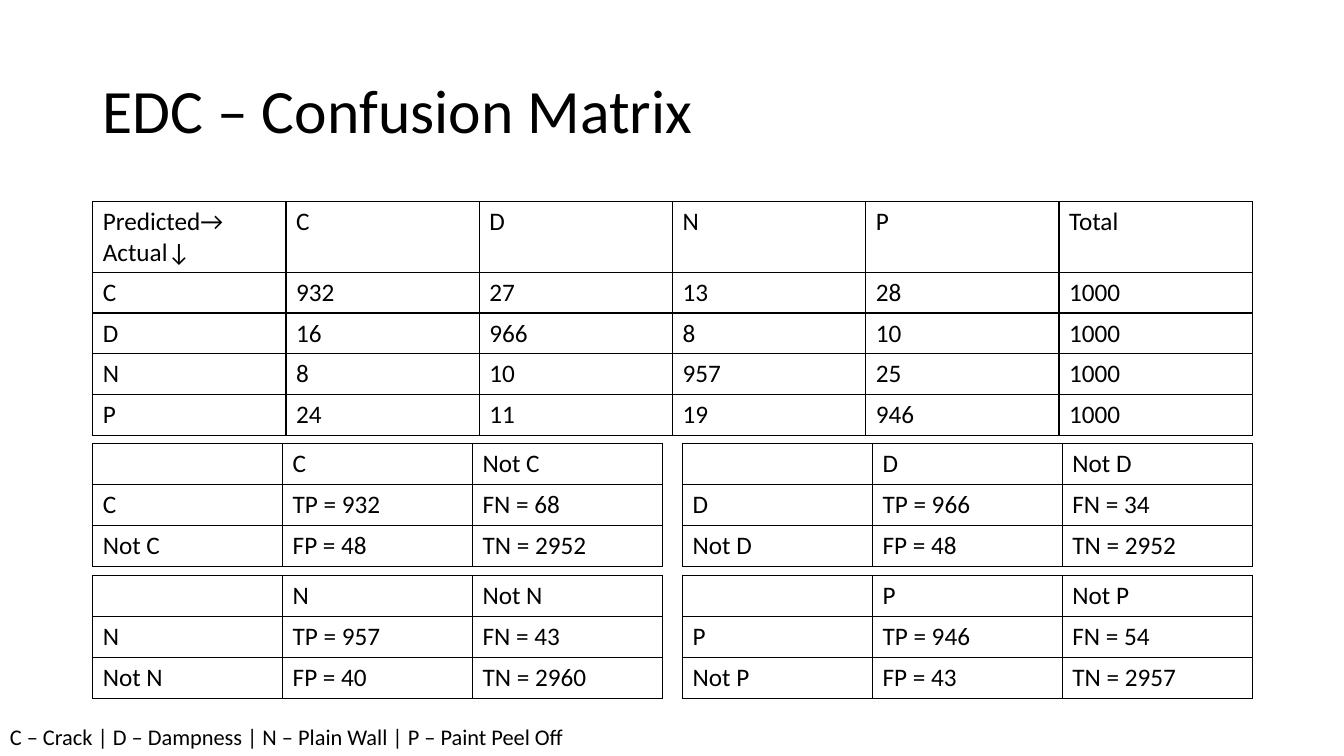
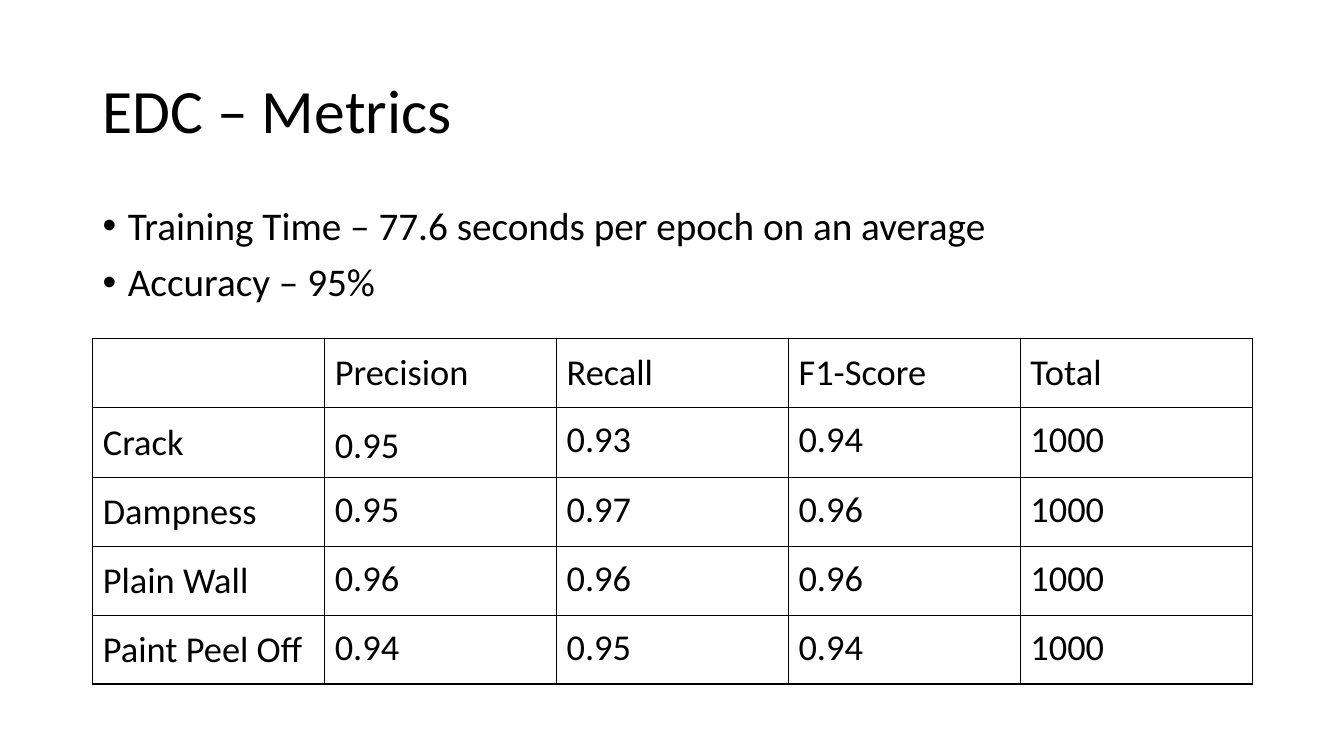
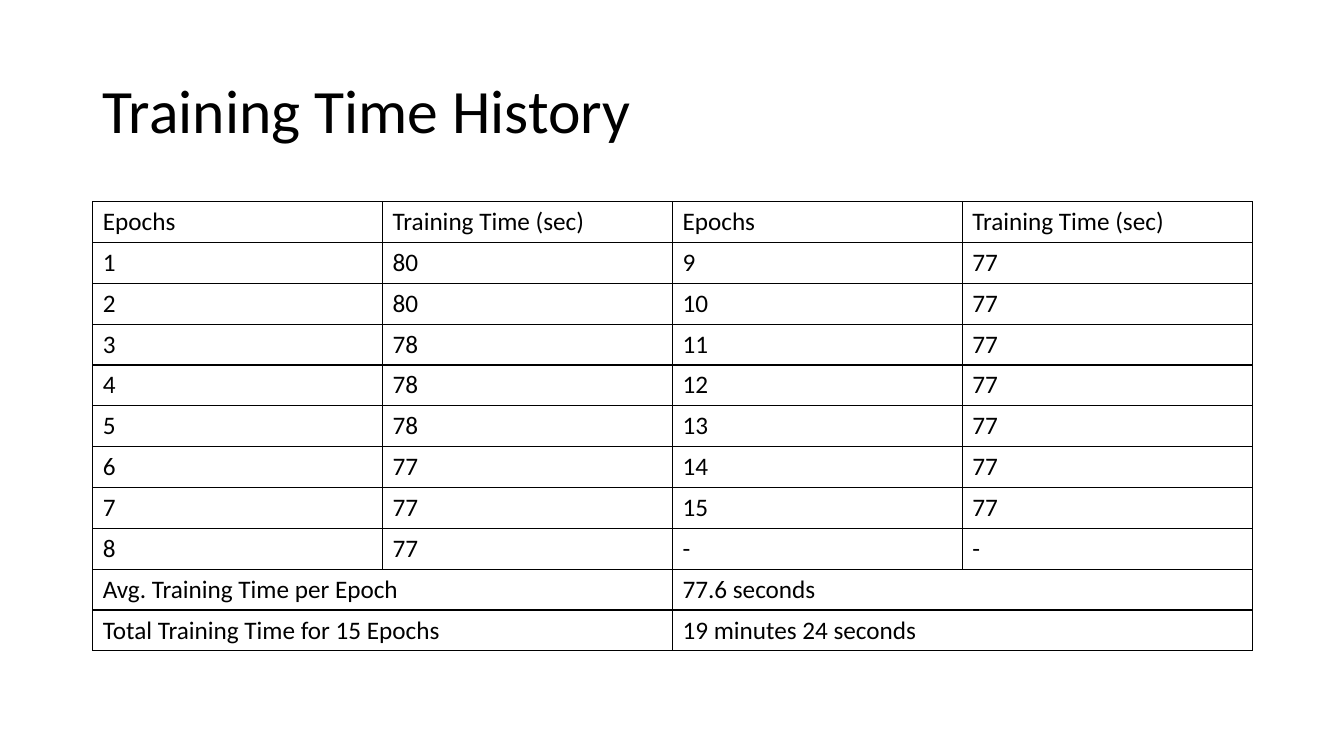
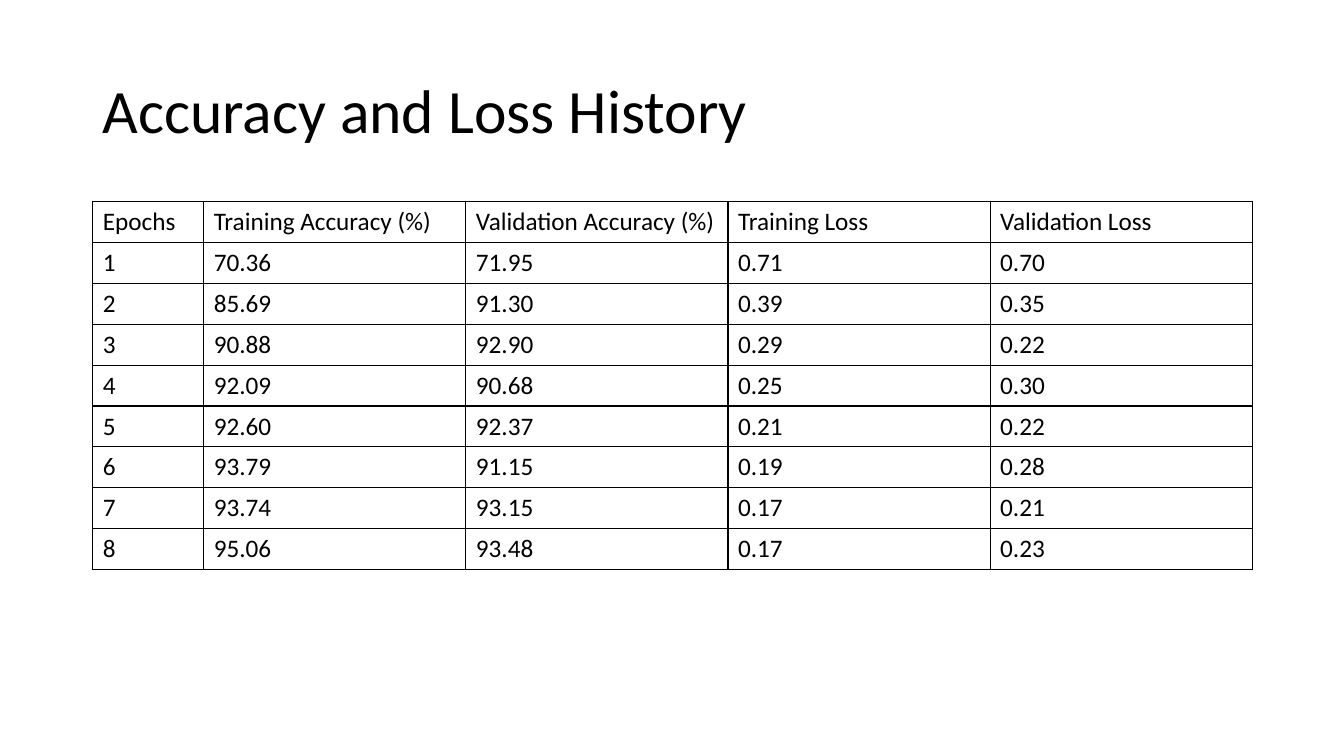
from dataclasses import dataclass

from lxml import etree
from pptx import Presentation
from pptx.dml.color import RGBColor
from pptx.enum.text import MSO_ANCHOR, MSO_AUTO_SIZE
from pptx.oxml.ns import qn
from pptx.util import Emu, Pt

TOP, MIDDLE = MSO_ANCHOR.TOP, MSO_ANCHOR.MIDDLE
FIT_SHAPE = MSO_AUTO_SIZE.SHAPE_TO_FIT_TEXT
EMU_PER_PX = 9144
BLANK_LAYOUT = 6


@dataclass(frozen=True)
class Theme:
    font: str = "Calibri"
    ink: str = "000000"
    title_size: int = 44
    bullet_size: int = 28
    metric_size: int = 26
    cell_size: int = 18
    caption_size: int = 16
    border_width: int = 1
    line_spacing: float = 0.9


@dataclass(frozen=True)
class Box:
    left: int
    top: int
    width: int
    height: int

    def emu(self):
        return [px(n) for n in (self.left, self.top, self.width, self.height)]


THEME = Theme()
PAGE = Box(0, 0, 1333, 750)
TITLE = Box(92, 40, 1150, 145)
BODY = Box(92, 200, 1150, 476)

CONFUSION = [
    ("Predicted→\nActual↓", "C", "D", "N", "P", "Total"),
    ("C", "932", "27", "13", "28", "1000"),
    ("D", "16", "966", "8", "10", "1000"),
    ("N", "8", "10", "957", "25", "1000"),
    ("P", "24", "11", "19", "946", "1000"),
]
# Label, then TP, FN, FP and TN.
ONE_VERSUS_REST = [
    ("C", 932, 68, 48, 2952),
    ("D", 966, 34, 48, 2952),
    ("N", 957, 43, 40, 2960),
    ("P", 946, 54, 43, 2957),
]
METRICS = [
    ("", "Precision", "Recall", "F1-Score", "Total"),
    ("Crack", "0.95", "0.93", "0.94", "1000"),
    ("Dampness", "0.95", "0.97", "0.96", "1000"),
    ("Plain Wall", "0.96", "0.96", "0.96", "1000"),
    ("Paint Peel Off", "0.94", "0.95", "0.94", "1000"),
]
# None marks a cell covered by the one to its left.
TRAINING_TIMES = [
    ("Epochs", "Training Time (sec)") * 2,
    ("1", "80", "9", "77"),
    ("2", "80", "10", "77"),
    ("3", "78", "11", "77"),
    ("4", "78", "12", "77"),
    ("5", "78", "13", "77"),
    ("6", "77", "14", "77"),
    ("7", "77", "15", "77"),
    ("8", "77", "-", "-"),
    ("Avg. Training Time per Epoch", None, "77.6 seconds", None),
    ("Total Training Time for 15 Epochs", None, "19 minutes 24 seconds", None),
]
ACCURACY_AND_LOSS = [
    ("Epochs", "Training Accuracy (%)", "Validation Accuracy (%)",
     "Training Loss", "Validation Loss"),
    ("1", "70.36", "71.95", "0.71", "0.70"),
    ("2", "85.69", "91.30", "0.39", "0.35"),
    ("3", "90.88", "92.90", "0.29", "0.22"),
    ("4", "92.09", "90.68", "0.25", "0.30"),
    ("5", "92.60", "92.37", "0.21", "0.22"),
    ("6", "93.79", "91.15", "0.19", "0.28"),
    ("7", "93.74", "93.15", "0.17", "0.21"),
    ("8", "95.06", "93.48", "0.17", "0.23"),
]


def px(count):
    return Emu(round(count * EMU_PER_PX))


def write_text(frame, text, *, size, line_spacing=None, space_before=None,
               bullet=None, indent=0):
    """Write each line of text as one paragraph."""
    for index, line in enumerate(text.split("\n")):
        para = frame.paragraphs[0] if index == 0 else frame.add_paragraph()
        if line_spacing is not None:
            para.line_spacing = line_spacing
        if space_before is not None:
            para.space_before = Pt(space_before)
        if bullet:
            properties = para._p.get_or_add_pPr()
            properties.set("marL", str(px(indent)))
            properties.set("indent", str(-px(indent)))
            etree.SubElement(properties, qn("a:buFont"), typeface="Arial")
            etree.SubElement(properties, qn("a:buChar"), char=bullet)
        span = para.add_run()
        span.text = line
        span.font.name = THEME.font
        span.font.size = Pt(size)
        span.font.color.rgb = RGBColor.from_string(THEME.ink)


def add_text(page, box, text, *, anchor=TOP, wrap=True, **text_format):
    frame = page.shapes.add_textbox(*box.emu()).text_frame
    frame.word_wrap = wrap
    frame.vertical_anchor = anchor
    if not wrap:
        frame.auto_size = FIT_SHAPE
    write_text(frame, text, **text_format)


def set_borders(cell):
    properties = cell._tc.get_or_add_tcPr()
    for side in ("a:lnL", "a:lnR", "a:lnT", "a:lnB"):
        line = etree.SubElement(properties, qn(side), w=str(Pt(THEME.border_width)))
        fill = etree.SubElement(line, qn("a:solidFill"))
        etree.SubElement(fill, qn("a:srgbClr"), val=THEME.ink)


def plain_cell(row, column):
    return {}


def metric_cell(row, column):
    """Centre the labels, and inset the figures evenly from the top."""
    if row == 0 or column == 0:
        return {"anchor": MIDDLE}
    figure = {"inset": 10}
    if (row, column) == (1, 1):
        figure.update(line_spacing=1.15, space_before=12)
    return figure


def fill_cell(cell, text, *, anchor=TOP, inset=None, **text_format):
    set_borders(cell)
    cell.fill.background()
    cell.vertical_anchor = anchor
    if inset is not None:
        cell.margin_left = cell.margin_right = px(inset)
        cell.margin_top = cell.margin_bottom = px(inset)
    if text:
        write_text(cell.text_frame, text, **text_format)


def add_grid(page, box, rows, *, size=THEME.cell_size, first_width=None,
             first_height=None, cell_format=plain_cell):
    """Add a bordered table whose rows and columns share the box evenly."""
    table = page.shapes.add_table(len(rows), len(rows[0]), *box.emu()).table
    table.first_row = table.horz_banding = False
    widths = share(box.width, len(rows[0]), first_width)
    heights = share(box.height, len(rows), first_height)
    for column, width in zip(table.columns, widths):
        column.width = width
    for row, height in zip(table.rows, heights):
        row.height = height
    for r, texts in enumerate(rows):
        for c, text in enumerate(texts):
            cell = table.cell(r, c)
            fill_cell(cell, text, size=size, **cell_format(r, c))
            if text is None:
                table.cell(r, c - 1).merge(cell)


def share(total, count, first=None):
    """Split a length evenly, after an optional first part of its own."""
    if first is None:
        return [px(total / count)] * count
    return [px(first)] + [px((total - first) / (count - 1))] * (count - 1)


def add_page(deck, title):
    page = deck.slides.add_slide(deck.slide_layouts[BLANK_LAYOUT])
    add_text(page, TITLE, title, size=THEME.title_size, anchor=MIDDLE,
             line_spacing=THEME.line_spacing)
    return page


def add_one_versus_rest(page, box):
    """Place the four two-class tables in a two by two grid."""
    column_gap, row_gap = 20, 9
    width = (box.width - column_gap) // 2
    height = (box.height - row_gap) // 2
    for index, (label, tp, fn, fp, tn) in enumerate(ONE_VERSUS_REST):
        row, column = divmod(index, 2)
        place = Box(box.left + column * (width + column_gap),
                    box.top + row * (height + row_gap), width, height)
        add_grid(page, place, [
            ("", label, f"Not {label}"),
            (label, f"TP = {tp}", f"FN = {fn}"),
            (f"Not {label}", f"FP = {fp}", f"TN = {tn}"),
        ])


def confusion_page(deck, box):
    page = add_page(deck, "EDC – Confusion Matrix")
    add_grid(page, Box(box.left, box.top, box.width, 232), CONFUSION, first_height=70)
    add_one_versus_rest(page, Box(box.left, box.top + 240, box.width, 253))
    add_text(page, Box(0, PAGE.height - 37, 576, 37),
             "C – Crack | D – Dampness | N – Plain Wall | P – Paint Peel Off",
             size=THEME.caption_size, wrap=False)


def metrics_page(deck, box):
    page = add_page(deck, "EDC – Metrics")
    add_text(page, Box(box.left, box.top, box.width, 136),
             "Training Time – 77.6 seconds per epoch on an average\nAccuracy – 95%",
             size=THEME.bullet_size, line_spacing=THEME.line_spacing,
             space_before=10, bullet="•", indent=25)
    add_grid(page, Box(box.left, box.top + 136, box.width, 341), METRICS,
             size=THEME.metric_size, cell_format=metric_cell)


def history_page(deck, box, title, rows, height, first_width=None):
    page = add_page(deck, title)
    add_grid(page, Box(box.left, box.top, box.width, height), rows,
             first_width=first_width)


def main():
    deck = Presentation()
    deck.slide_width, deck.slide_height = px(PAGE.width), px(PAGE.height)
    confusion_page(deck, BODY)
    metrics_page(deck, BODY)
    history_page(deck, BODY, "Training Time History", TRAINING_TIMES, 446)
    history_page(deck, BODY, "Accuracy and Loss History", ACCURACY_AND_LOSS, 365,
                 first_width=110)
    deck.save("out.pptx")


if __name__ == "__main__":
    main()
